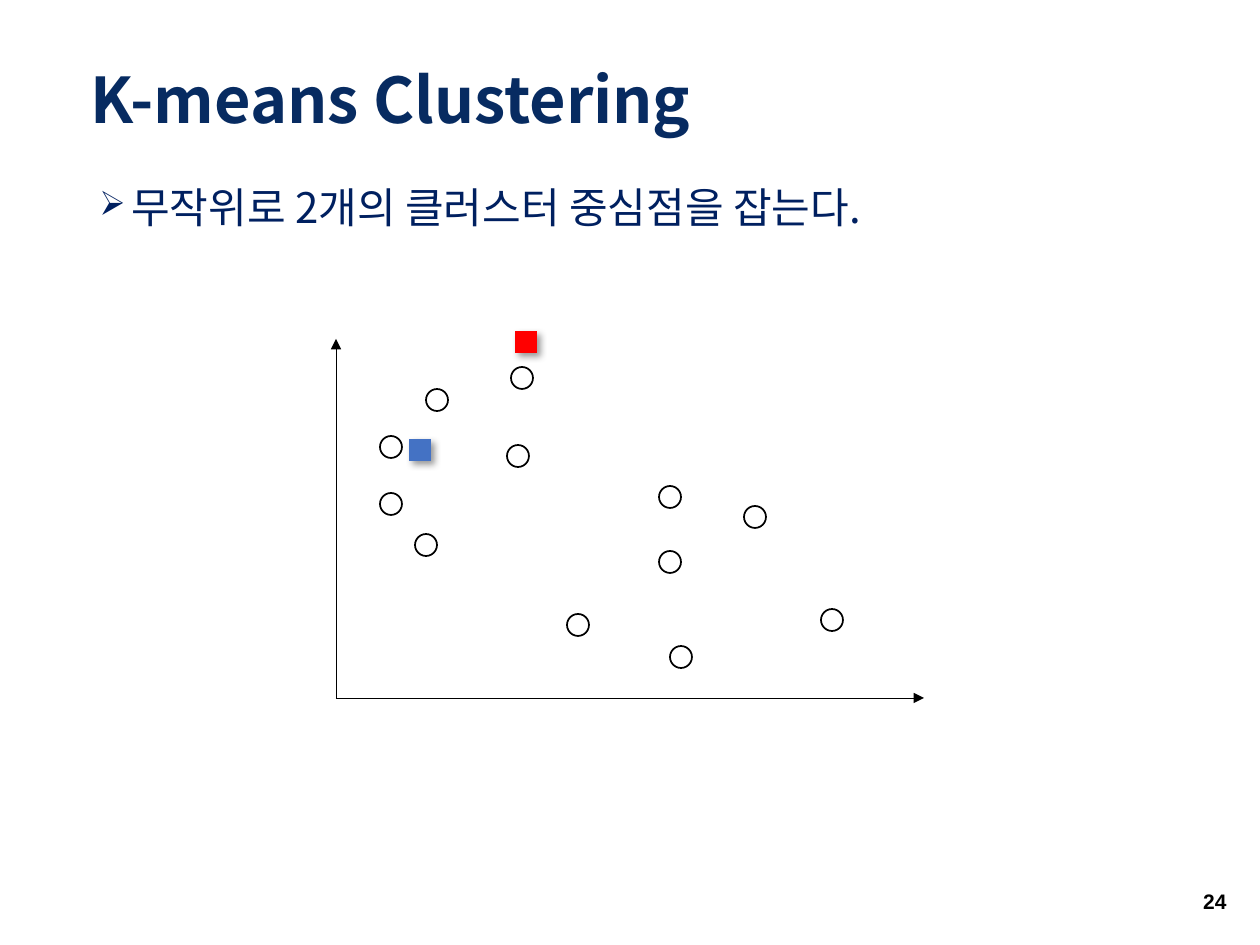
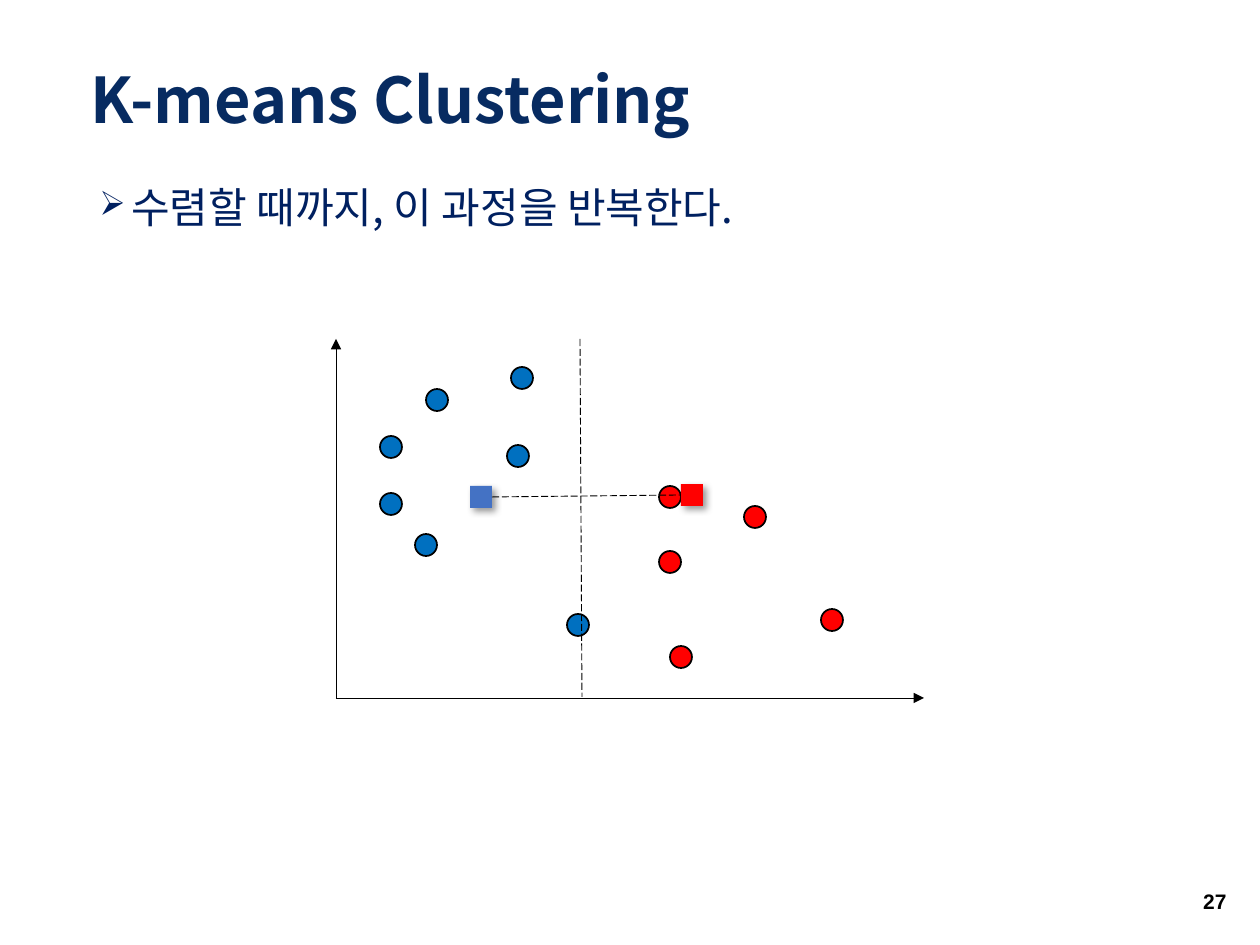
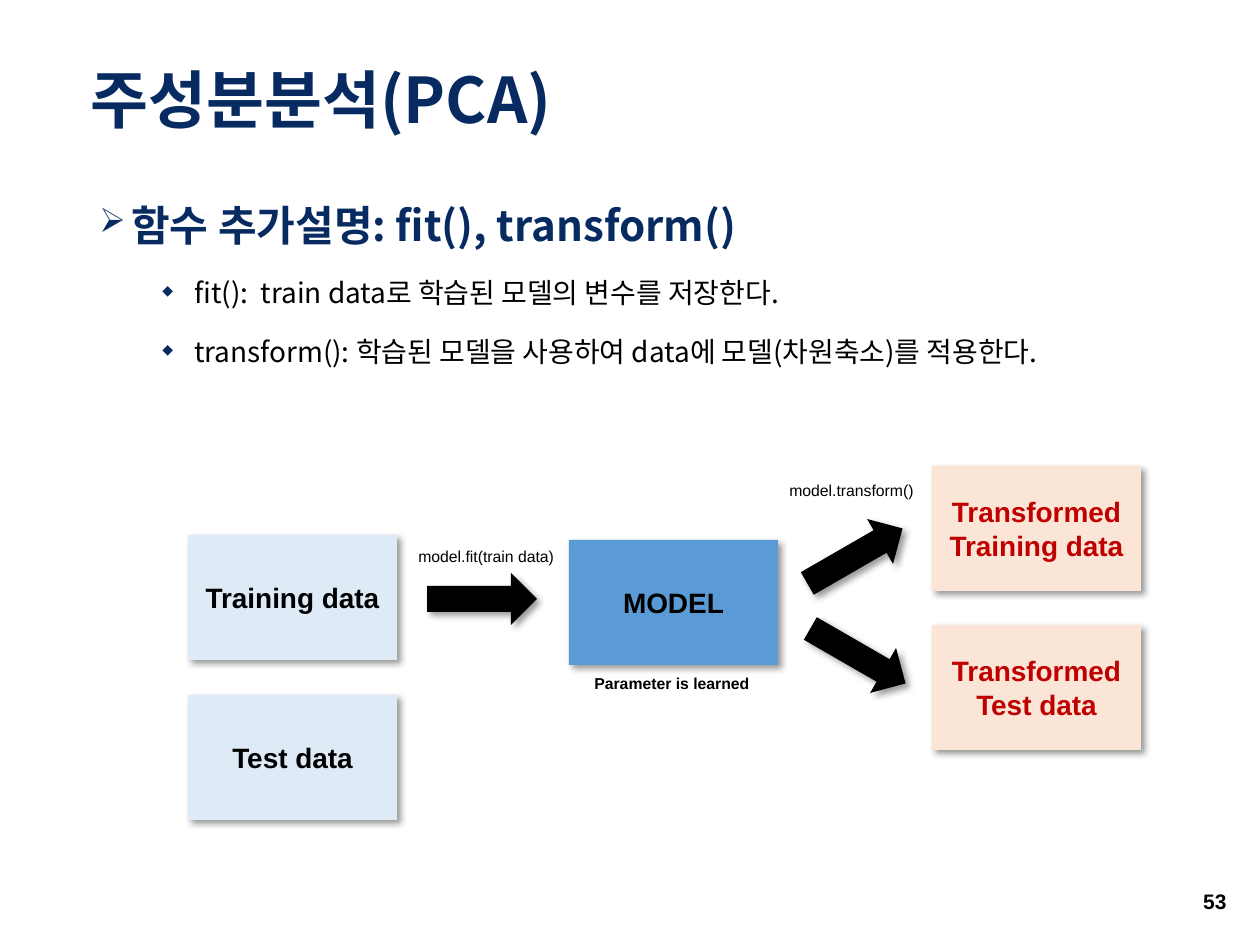
from lxml.etree import SubElement
from pptx import Presentation
from pptx.dml.color import RGBColor
from pptx.enum.dml import MSO_LINE
from pptx.enum.shapes import MSO_CONNECTOR, MSO_SHAPE
from pptx.enum.text import MSO_ANCHOR, MSO_AUTO_SIZE, PP_ALIGN
from pptx.oxml.ns import qn
from pptx.util import Emu, Pt

BLACK = RGBColor(0x00, 0x00, 0x00)
NAVY = RGBColor(0x07, 0x2B, 0x61)
INK = RGBColor(0x00, 0x20, 0x60)
RED = RGBColor(0xFF, 0x00, 0x00)
DOT_BLUE = RGBColor(0x00, 0x70, 0xC0)
CENTER_BLUE = RGBColor(0x44, 0x72, 0xC4)
DATA_BLUE = RGBColor(0xDE, 0xEB, 0xF7)
MODEL_BLUE = RGBColor(0x5B, 0x9B, 0xD5)
PEACH = RGBColor(0xFB, 0xE5, 0xD6)
DARK_RED = RGBColor(0xC0, 0x00, 0x00)

KOREAN = "Noto Sans CJK KR"
TITLE = {"name": KOREAN, "size": Pt(36), "bold": True, "color": NAVY}
NUMBER = {"name": "Arial", "size": Pt(12), "bold": True, "color": BLACK}
POINT = {"name": KOREAN, "size": Pt(24), "bold": False, "color": INK}
HEADING = POINT | {"bold": True, "color": NAVY}
DETAIL = POINT | {"size": Pt(16), "color": BLACK}
BOX_TEXT = NUMBER | {"size": Pt(16)}
RESULT_TEXT = BOX_TEXT | {"color": DARK_RED}
LABEL = NUMBER | {"size": Pt(9), "bold": False}
LABEL_BOLD = LABEL | {"bold": True}

ARROW_BULLET = {"char": "➢", "size": 80, "color": None, "indent": 32}
DIAMOND_BULLET = {"char": "◆", "size": 50, "color": NAVY, "indent": 95}
HANGING = 32

SLIDE_SIZE = (1260, 945)
TITLE_AREA = (78, 40, 1086, 127)
NUMBER_AREA = (1173, 876, 66, 50)
POINT_AREA = (87, 181, 1109, 745)
DETAIL_AREA = (87, 168, 1109, 660)

MARK = 22
ORIGIN = (336, 698)
AXIS_ENDS = [(336, 339), (924, 698)]
DIVIDER = [(580, 339), (582, 697)]
LEFT_CLUSTER = [(391, 447), (426, 545), (518, 456), (391, 504),
                (578, 625), (437, 400), (522, 378)]
RIGHT_CLUSTER = [(681, 657), (670, 497), (670, 562), (832, 620), (755, 517)]

CLUSTER_SLIDES = [
    {"number": "24", "text": "무작위로 2개의 클러스터 중심점을 잡는다.",
     "fills": (None, None), "centers": [(420, 450), (526, 342)], "split": False},
    {"number": "27", "text": "수렴할 때까지, 이 과정을 반복한다.",
     "fills": (DOT_BLUE, RED), "centers": [(481, 497), (692, 495)], "split": True},
]

PCA_POINTS = [
    ("함수 추가설명: fit(), transform()", HEADING, 0),
    ("fit():  train data로 학습된 모델의 변수를 저장한다.", DETAIL, 1),
    ("transform(): 학습된 모델을 사용하여 data에 모델(차원축소)를 적용한다.", DETAIL, 1),
]
BOX_SIZE = (209, 125)
BOXES = [
    ((188, 535), DATA_BLUE, BOX_TEXT, ["Training data"]),
    ((188, 695), DATA_BLUE, BOX_TEXT, ["Test data"]),
    ((569, 540), MODEL_BLUE, BOX_TEXT, ["MODEL"]),
    ((932, 466), PEACH, RESULT_TEXT, ["Transformed", "Training data"]),
    ((932, 625), PEACH, RESULT_TEXT, ["Transformed", "Test data"]),
]
ARROW_SIZE = (110, 52)
ARROWS = [((427, 573), 0), ((800, 530), -30), ((803, 630), 30)]
LABELS = [
    ((406, 541, 163, 31), LABEL, "model.fit(train data)"),
    ((777, 475, 151, 31), LABEL, "model.transform()"),
    ((582, 668, 181, 31), LABEL_BOLD, "Parameter is learned"),
]


def px(*values):
    return [Emu(round(value * 914400 / 126)) for value in values]


def add_xml(parent, tag, **attributes):
    return SubElement(parent, qn(tag), {key: str(value) for key, value in attributes.items()})


def write(para, text, style):
    span = para.add_run()
    span.text = text
    for key, value in style.items():
        if key == "color":
            span.font.color.rgb = value
        else:
            setattr(span.font, key, value)
    add_xml(span.font._element, "a:ea", typeface=style["name"])


def add_text(page, area, lines, style, anchor=MSO_ANCHOR.TOP, align=None, wrap=True):
    box = page.shapes.add_textbox(*px(*area))
    fill_text(box, lines, style, anchor, align, wrap)
    return box


def fill_text(box, lines, style, anchor, align, wrap=True):
    frame = box.text_frame
    frame.word_wrap = wrap
    frame.vertical_anchor = anchor
    if not wrap:
        frame.auto_size = MSO_AUTO_SIZE.SHAPE_TO_FIT_TEXT
    for index, line in enumerate(lines):
        para = frame.add_paragraph() if index else frame.paragraphs[0]
        para.alignment = align
        write(para, line, style)


def add_points(page, area, points, spacing):
    frame = page.shapes.add_textbox(*px(*area)).text_frame
    frame.word_wrap = True
    for index, (text, style, level) in enumerate(points):
        para = frame.add_paragraph() if index else frame.paragraphs[0]
        para.level = level
        para.line_spacing = spacing
        if index:
            para.space_before = Pt(5)
        add_bullet(para, DIAMOND_BULLET if level else ARROW_BULLET)
        write(para, text, style)


def add_bullet(para, bullet):
    props = para._p.get_or_add_pPr()
    margin, hanging = px(bullet["indent"], HANGING)
    props.set("marL", str(margin))
    props.set("indent", str(-hanging))
    if bullet["color"] is not None:
        add_xml(add_xml(props, "a:buClr"), "a:srgbClr", val=bullet["color"])
    add_xml(props, "a:buSzPct", val=bullet["size"] * 1000)
    add_xml(props, "a:buChar", char=bullet["char"])


def add_shape(page, kind, area, fill, outline=False, shadow=False):
    shape = page.shapes.add_shape(kind, *px(*area))
    shape.shadow.inherit = False
    if fill is None:
        shape.fill.background()
    else:
        shape.fill.solid()
        shape.fill.fore_color.rgb = fill
    if outline:
        shape.line.color.rgb = BLACK
        shape.line.width = Pt(1)
    else:
        shape.line.fill.background()
    if shadow:
        effects = shape._element.spPr.find(qn("a:effectLst"))
        outer = add_xml(effects, "a:outerShdw", blurRad=Pt(4), dist=Pt(3),
                        dir=45 * 60000, algn="tl", rotWithShape=0)
        add_xml(add_xml(outer, "a:srgbClr", val=BLACK), "a:alpha", val=40000)
    return shape


def add_line(page, start, end, arrow=False):
    line = page.shapes.add_connector(MSO_CONNECTOR.STRAIGHT, *px(*start, *end))
    line.line.color.rgb = BLACK
    line.line.width = Pt(0.5)
    if arrow:
        add_xml(line.line._get_or_add_ln(), "a:tailEnd", type="triangle")
    else:
        line.line.dash_style = MSO_LINE.LONG_DASH
    add_xml(line._element.spPr, "a:effectLst")
    return line


def add_mark(page, kind, center, fill, **look):
    x, y = center
    area = (x - MARK / 2, y - MARK / 2, MARK, MARK)
    return add_shape(page, kind, area, fill, **look)


def add_page(deck, title, number):
    page = deck.slides.add_slide(deck.slide_layouts[6])
    heading = add_text(page, TITLE_AREA, [title], TITLE, MSO_ANCHOR.MIDDLE)
    heading.text_frame.paragraphs[0].line_spacing = 0.9
    add_text(page, NUMBER_AREA, [number], NUMBER, MSO_ANCHOR.MIDDLE, PP_ALIGN.RIGHT)
    return page


def add_cluster_page(deck, content):
    page = add_page(deck, "K-means Clustering", content["number"])
    add_points(page, POINT_AREA, [(content["text"], POINT, 0)], 0.9)
    for end in AXIS_ENDS:
        add_line(page, ORIGIN, end, arrow=True)
    for cluster, fill in zip((LEFT_CLUSTER, RIGHT_CLUSTER), content["fills"]):
        for center in cluster:
            add_mark(page, MSO_SHAPE.OVAL, center, fill, outline=True)
    blue, red = [add_mark(page, MSO_SHAPE.RECTANGLE, center, fill, shadow=True)
                 for center, fill in zip(content["centers"], (CENTER_BLUE, RED))]
    if content["split"]:
        link = add_line(page, *content["centers"])
        link.begin_connect(blue, 3)
        link.end_connect(red, 1)
        add_line(page, *DIVIDER)


def add_pca_page(deck):
    page = add_page(deck, "주성분분석(PCA)", "53")
    add_points(page, DETAIL_AREA, PCA_POINTS, 1.5)
    for corner, fill, style, lines in BOXES:
        box = add_shape(page, MSO_SHAPE.RECTANGLE, corner + BOX_SIZE, fill, shadow=True)
        fill_text(box, lines, style, MSO_ANCHOR.MIDDLE, PP_ALIGN.CENTER)
    for corner, angle in ARROWS:
        arrow = add_shape(page, MSO_SHAPE.RIGHT_ARROW, corner + ARROW_SIZE, BLACK, shadow=True)
        arrow.rotation = angle
    for area, style, text in LABELS:
        add_text(page, area, [text], style, wrap=False)


def main():
    deck = Presentation()
    deck.slide_width, deck.slide_height = px(*SLIDE_SIZE)
    for content in CLUSTER_SLIDES:
        add_cluster_page(deck, content)
    add_pca_page(deck)
    deck.save("out.pptx")


if __name__ == "__main__":
    main()
